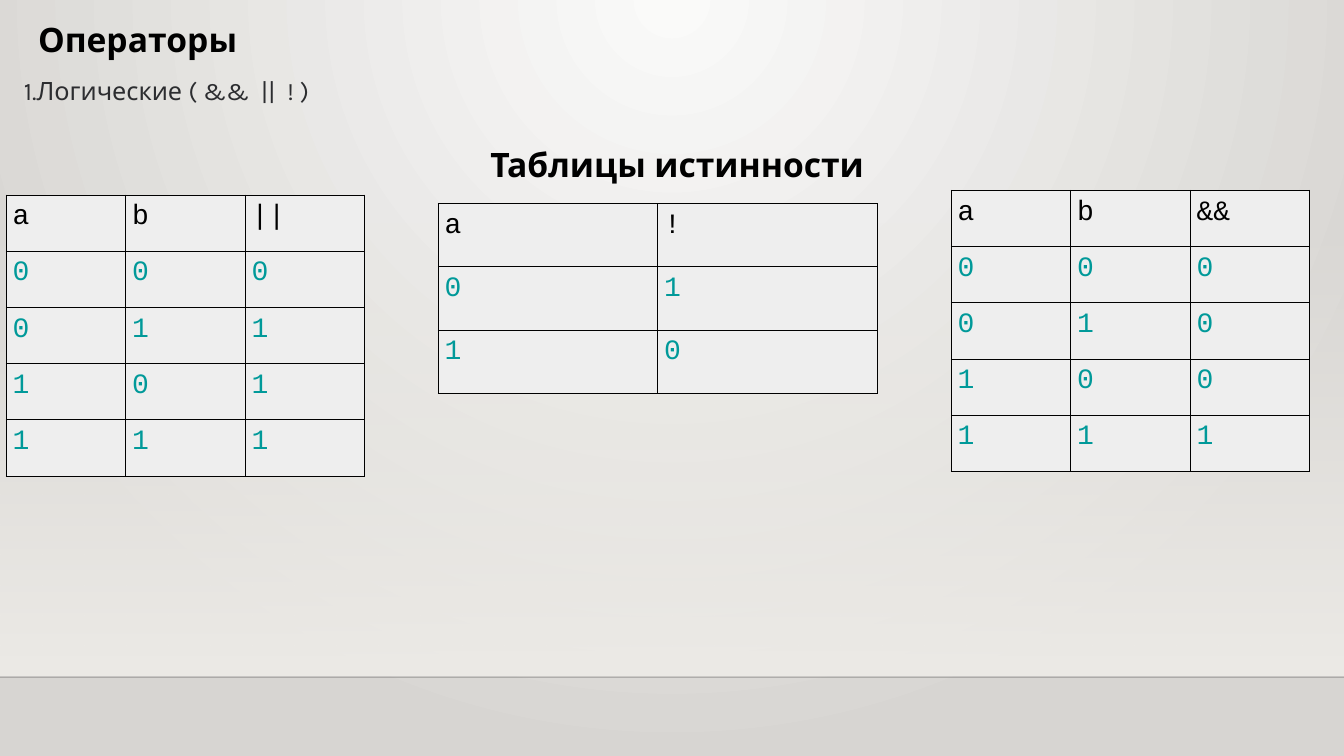
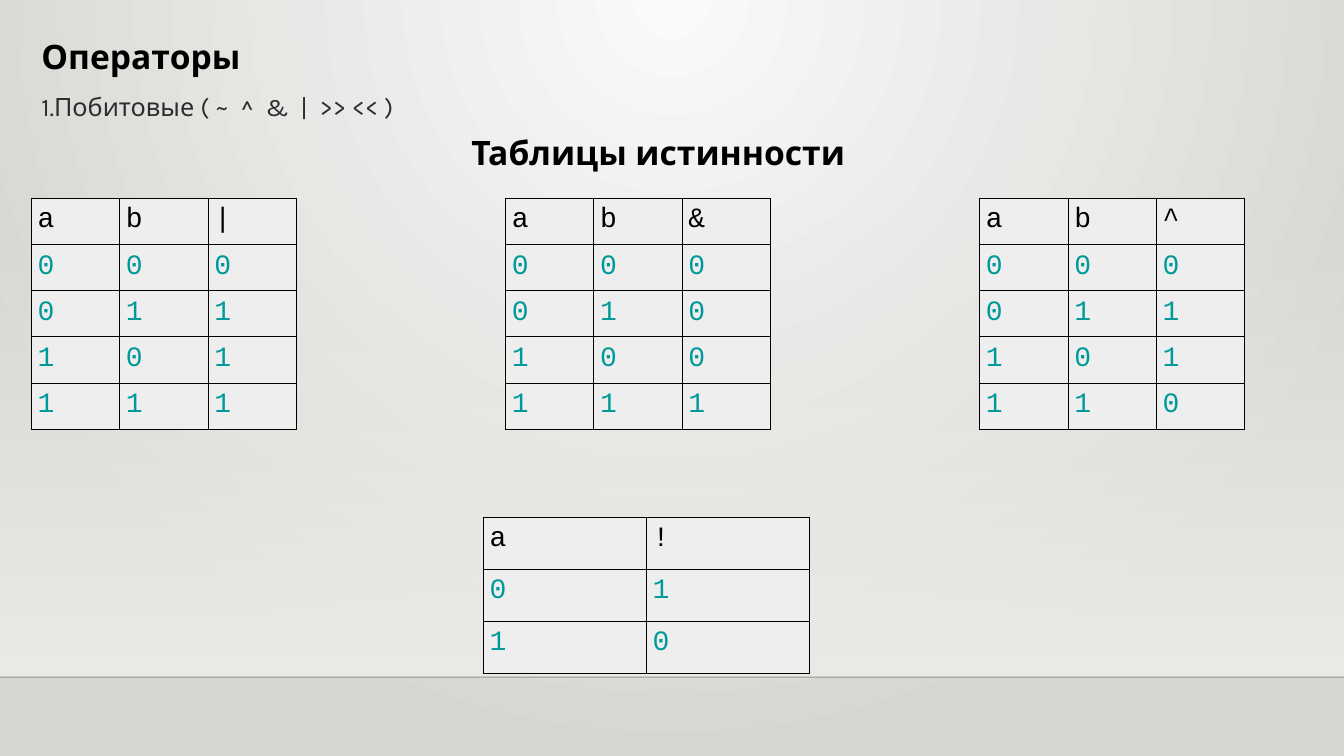
"""Builds two slides of truth tables for logical and bitwise operators."""
from itertools import product

from pptx import Presentation
from pptx.dml.color import RGBColor
from pptx.enum.shapes import MSO_CONNECTOR, MSO_SHAPE
from pptx.enum.text import MSO_ANCHOR, MSO_AUTO_SIZE, PP_ALIGN
from pptx.oxml import parse_xml
from pptx.oxml.ns import nsdecls, qn
from pptx.util import Pt

BLACK = RGBColor(0x00, 0x00, 0x00)
CHARCOAL = RGBColor(0x2C, 0x2D, 0x30)
TEAL = RGBColor(0x00, 0x99, 0x99)
CELL_GREY = RGBColor(0xEE, 0xEE, 0xEE)
GLOW = RGBColor(0xFA, 0xFA, 0xF9)
EDGE = RGBColor(0xD7, 0xD5, 0xD2)
WALL = RGBColor(0xED, 0xEB, 0xE7)
FLOOR_LINE = RGBColor(0x00, 0x00, 0x01)

TEXT_FONT = "Karla"
CODE_FONT = "Courier New"
SLIDE_WIDTH, SLIDE_HEIGHT = 960, 540
CELL_INSET = 4.5
BORDER_WIDTH = 0.8


def drawing(markup):
    name, separator, rest = markup.partition(" ")
    return parse_xml(f"<{name} {nsdecls('a')}{separator}{rest}")


def set_alpha(color_element, percent):
    color_element.append(drawing(f'a:alpha val="{percent * 1000}"/>'))


def fill_gradient(fill, *colors):
    fill.gradient()
    for stop, color in zip(fill.gradient_stops, colors):
        stop.color.rgb = color


class Deck:
    def __init__(self):
        self.presentation = Presentation()
        self.presentation.slide_width = Pt(SLIDE_WIDTH)
        self.presentation.slide_height = Pt(SLIDE_HEIGHT)
        self.slide = None
        self.set_background()

    def set_background(self):
        master = self.presentation.slide_master
        fill_gradient(master.background.fill, GLOW, EDGE)
        gradient = next(master.element.iter(qn("a:gradFill")))
        gradient.remove(gradient.find(qn("a:lin")))
        gradient.append(drawing(
            'a:path path="circle"><a:fillToRect l="43000" t="0" '
            'r="43000" b="100000"/></a:path>'))

    def add_slide(self):
        layout = self.presentation.slide_layouts.get_by_name("Title Only")
        self.slide = self.presentation.slides.add_slide(layout)
        self.wall()
        self.floor_line()

    def wall(self):
        shape = self.slide.shapes.add_shape(
            MSO_SHAPE.RECTANGLE, 0, Pt(158.4), Pt(SLIDE_WIDTH), Pt(324))
        shape.shadow.inherit = False
        shape.line.fill.background()
        fill_gradient(shape.fill, WALL, WALL)
        shape.fill.gradient_angle = 270
        set_alpha(next(shape.element.iter(qn("a:srgbClr"))), 0)

    def floor_line(self):
        line = self.slide.shapes.add_connector(
            MSO_CONNECTOR.STRAIGHT, 0, Pt(483.8), Pt(SLIDE_WIDTH), Pt(483.8))
        line.line.width = Pt(1)
        line.line.color.rgb = FLOOR_LINE
        set_alpha(next(line.element.iter(qn("a:srgbClr"))), 20)
        line.element.spPr.append(drawing("a:effectLst />"))

    def styled_run(self, paragraph, text, size, color, font=TEXT_FONT, bold=False):
        run = paragraph.add_run()
        run.text = text
        run.font.name = font
        run.font.size = Pt(size)
        run.font.bold = bold
        run.font.color.rgb = color

    def text_box(self, left, top, width, height):
        box = self.slide.shapes.add_textbox(
            Pt(left), Pt(top), Pt(width), Pt(height))
        box.text_frame.word_wrap = True
        return box.text_frame.paragraphs[0]

    def title(self, text, left, top):
        shape = self.slide.shapes.title
        shape.left, shape.top = Pt(left), Pt(top)
        shape.width, shape.height = Pt(480), Pt(80)
        frame = shape.text_frame
        frame.auto_size = MSO_AUTO_SIZE.NONE
        frame.vertical_anchor = MSO_ANCHOR.TOP
        paragraph = frame.paragraphs[0]
        paragraph.alignment = PP_ALIGN.LEFT
        self.styled_run(paragraph, text, 24, BLACK, bold=True)

    def numbered_item(self, text, left, top):
        paragraph = self.text_box(left, top, 480, 29)
        paragraph.space_after = Pt(10)
        self.styled_run(paragraph, text, 18, CHARCOAL)
        paragraph._p.get_or_add_pPr().append(
            drawing('a:buAutoNum type="arabicPeriod"/>'))

    def heading(self, text, left, top, width):
        paragraph = self.text_box(left, top, width, 80)
        paragraph.alignment = PP_ALIGN.CENTER
        self.styled_run(paragraph, text, 24, BLACK, bold=True)

    def truth_table(self, operator, operation, left, top, column, row):
        inputs = "a" if operator == "!" else "ab"
        rows = [(*inputs, operator)]
        rows += [(*bits, operation(*bits))
                 for bits in product((0, 1), repeat=len(inputs))]
        columns = len(rows[0])
        table = self.slide.shapes.add_table(
            len(rows), columns, Pt(left), Pt(top),
            Pt(column * columns), Pt(row * len(rows))).table
        table.first_row = table.horz_banding = False
        for table_column in table.columns:
            table_column.width = Pt(column)
        for index, values in enumerate(rows):
            table.rows[index].height = Pt(row)
            for position, value in enumerate(values):
                self.cell(table.cell(index, position), str(value),
                          TEAL if index else BLACK)

    def cell(self, cell, text, color):
        cell.margin_left = cell.margin_right = Pt(CELL_INSET)
        cell.margin_top = cell.margin_bottom = Pt(CELL_INSET)
        properties = cell._tc.get_or_add_tcPr()
        for side in "LRTB":
            properties.append(drawing(
                f'a:ln{side} w="{Pt(BORDER_WIDTH)}"><a:solidFill>'
                f'<a:srgbClr val="{BLACK}"/></a:solidFill></a:ln{side}>'))
        cell.fill.solid()
        cell.fill.fore_color.rgb = CELL_GREY
        self.styled_run(cell.text_frame.paragraphs[0], text, 20, color, CODE_FONT)

    def save(self):
        self.presentation.save("out.pptx")


def either(a, b):
    return a | b


def both(a, b):
    return a & b


def differ(a, b):
    return a ^ b


def negate(a):
    return 1 - a


deck = Deck()

deck.add_slide()
deck.title("Операторы", 20, 10)
deck.numbered_item("Логические ( &&\u00a0 ||\u00a0 ! )", 10, 50.4)
deck.heading("Таблицы истинности", 182, 99.4, 603.4)
deck.truth_table("||", either, 4.5, 139.4, 85.4, 40.15)
deck.truth_table("&&", both, 679.5, 136, 85.4, 40.15)
deck.truth_table("!", negate, 313.2, 145.4, 156.8, 45.2)

deck.add_slide()
deck.title("Операторы", 22.4, 22.3)
deck.numbered_item("Побитовые ( ~\u00a0 ^\u00a0 &\u00a0 |\u00a0 >> << )", 22.4, 62)
deck.heading("Таблицы истинности", 229.7, 90.7, 481)
bitwise = [("|", either), ("&", both), ("^", differ)]
for place, (operator, operation) in enumerate(bitwise):
    deck.truth_table(operator, operation, 22.4 + 338.7 * place, 141.6, 63.1, 32.4)
deck.truth_table("!", negate, 345.3, 369.3, 116.4, 37.2)

deck.save()
